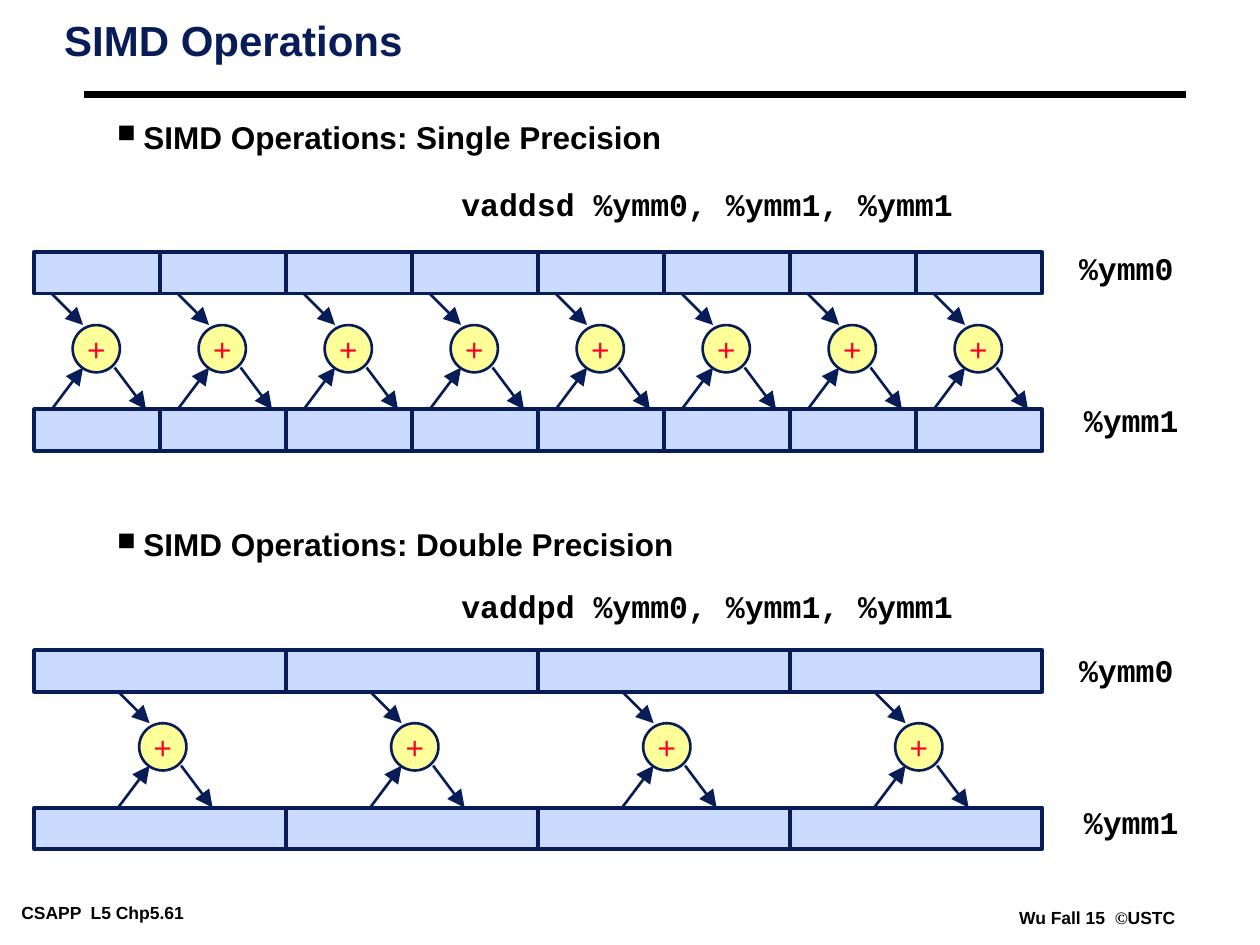
import lxml.etree
import pptx
import pptx.dml.color
import pptx.enum.shapes
import pptx.enum.text
import pptx.oxml.ns
import pptx.util

Pt = pptx.util.Pt
SHAPE = pptx.enum.shapes.MSO_SHAPE
qn = pptx.oxml.ns.qn


def color(value):
    return pptx.dml.color.RGBColor.from_string(value)


class Deck:
    navy = "081D58"
    black = "000000"
    cell_fill = "CBDBFF"
    node_fill = "FFFF99"
    plus_red = "FC0128"
    sans = "Arial"
    mono = "Courier New"
    serif = "Times New Roman"

    def __init__(self, slide):
        self.s = slide

    def style(self, r, size, font, value, bold=True):
        r.font.size = Pt(size)
        r.font.name = font
        r.font.bold = bold
        r.font.color.rgb = color(value)

    def frame(self, tf, dx, dy, wrap):
        tf.margin_left = tf.margin_right = Pt(dx)
        tf.margin_top = tf.margin_bottom = Pt(dy)
        tf.word_wrap = wrap

    def box(self, x, y, w, h, dx=5, dy=2.2, wrap=False):
        tf = self.s.shapes.add_textbox(Pt(x), Pt(y), Pt(w), Pt(h)).text_frame
        self.frame(tf, dx, dy, wrap)
        if not wrap:
            tf.auto_size = pptx.enum.text.MSO_AUTO_SIZE.SHAPE_TO_FIT_TEXT
        return tf

    def title(self, text):
        tf = self.box(31.7, 10, 686, 61, wrap=True)
        tf.text = text
        p = tf.paragraphs[0]
        p.line_spacing = 0.87
        self.style(p.runs[0], 24, self.sans, self.navy)

    def footer(self, x, y, w, parts):
        p = self.box(x, y, w, 16).paragraphs[0]
        for text, font in parts:
            r = p.add_run()
            r.text = text
            self.style(r, 10, font, self.black)

    def bullets(self, items, gap):
        tf = self.box(23, 68.4, 654.5, 423.4, wrap=True)
        for i, text in enumerate(items):
            p = tf.add_paragraph() if i else tf.paragraphs[0]
            p.text = text
            pPr = p._p.get_or_add_pPr()
            pPr.set("marL", str(Pt(54)))
            pPr.set("indent", str(-Pt(15)))
            clr = lxml.etree.SubElement(pPr, qn("a:buClr"))
            lxml.etree.SubElement(clr, qn("a:srgbClr")).set("val", self.black)
            lxml.etree.SubElement(pPr, qn("a:buSzPct")).set("val", "80000")
            lxml.etree.SubElement(pPr, qn("a:buChar")).set("char", "■")
            p.line_spacing = 0.85
            if i:
                p.space_before = Pt(gap)
            self.style(p.runs[0], 18, self.sans, self.black)

    def code(self, x, y, w, text):
        tf = self.box(x, y, w, 28.8, 3.6, 3.6)
        tf.text = text
        self.style(tf.paragraphs[0].runs[0], 18, self.mono, self.black)

    def shape(self, kind, x, y, w, h, fill, weight):
        sp = self.s.shapes.add_shape(kind, Pt(x), Pt(y), Pt(w), Pt(h))
        sp.shadow.inherit = False
        sp.fill.solid()
        sp.fill.fore_color.rgb = color(fill)
        sp.line.color.rgb = color(self.navy)
        sp.line.width = Pt(weight)
        return sp

    def cell(self, x, y, w):
        self.shape(SHAPE.RECTANGLE, x, y, w, 23.75, self.cell_fill, 2.25)

    def adder(self, x, y):
        sp = self.shape(SHAPE.OVAL, x, y, 27, 27, self.node_fill, 1.5)
        tf = sp.text_frame
        self.frame(tf, 3.6, 3.6, False)
        tf.vertical_anchor = pptx.enum.text.MSO_ANCHOR.MIDDLE
        tf.text = "+"
        p = tf.paragraphs[0]
        p.alignment = pptx.enum.text.PP_ALIGN.CENTER
        self.style(p.runs[0], 18, self.mono, self.plus_red, False)

    def line(self, x1, y1, x2, y2, value, weight, arrow=False):
        c = self.s.shapes.add_connector(
            pptx.enum.shapes.MSO_CONNECTOR.STRAIGHT, Pt(x1), Pt(y1), Pt(x2), Pt(y2))
        c.line.color.rgb = color(value)
        c.line.width = Pt(weight)
        if arrow:
            ln = c.line._get_or_add_ln()
            tail = lxml.etree.SubElement(ln, qn("a:tailEnd"))
            tail.set("type", "triangle")
            tail.set("w", "lg")
            tail.set("len", "lg")
        lxml.etree.SubElement(c._element.spPr, qn("a:effectLst"))

    def arrow(self, x1, y1, x2, y2):
        self.line(x1, y1, x2, y2, self.navy, 1.5, True)

    def operation(self, y, text_y, lanes, offset, instruction):
        left, width, drop = 19.5, 576 / lanes, 90
        self.code(260, text_y, 300, instruction)
        self.code(613, text_y + 36.3, 70, "%ymm0")
        self.code(615.8, text_y + 123.3, 70, "%ymm1")
        for row in (y, y + drop):
            for i in range(lanes):
                self.cell(left + i * width, row, width)
        for i in range(lanes):
            x = left + i * width + offset
            self.adder(x, y + 41.75)
            self.arrow(x - 12, y + 23.75, x + 6, y + 41.75)
            self.arrow(x - 12, y + drop, x + 6, y + 66)
            self.arrow(x + 24, y + 66, x + 42, y + drop)


def main():
    prs = pptx.Presentation()
    prs.slide_width, prs.slide_height = Pt(720), Pt(540)
    deck = Deck(prs.slides.add_slide(prs.slide_layouts[6]))
    deck.footer(7.2, 513, 140.4, [("CSAPP  L5 Chp5.61", deck.sans)])
    deck.footer(577.4, 516.2, 99.4, [
        ("Wu Fall 15  ", deck.sans), ("©", deck.serif), ("USTC", deck.sans)])
    deck.line(48, 54, 678, 54, deck.black, 4.5)
    deck.title("SIMD Operations")
    deck.bullets(["SIMD Operations: Single Precision",
                  "SIMD Operations: Double Precision"], 214.5)
    deck.operation(144, 102.2, 8, 22, "vaddsd %ymm0, %ymm1, %ymm1")
    deck.operation(371.5, 332.2, 4, 60, "vaddpd %ymm0, %ymm1, %ymm1")
    prs.save("out.pptx")


if __name__ == "__main__":
    main()
